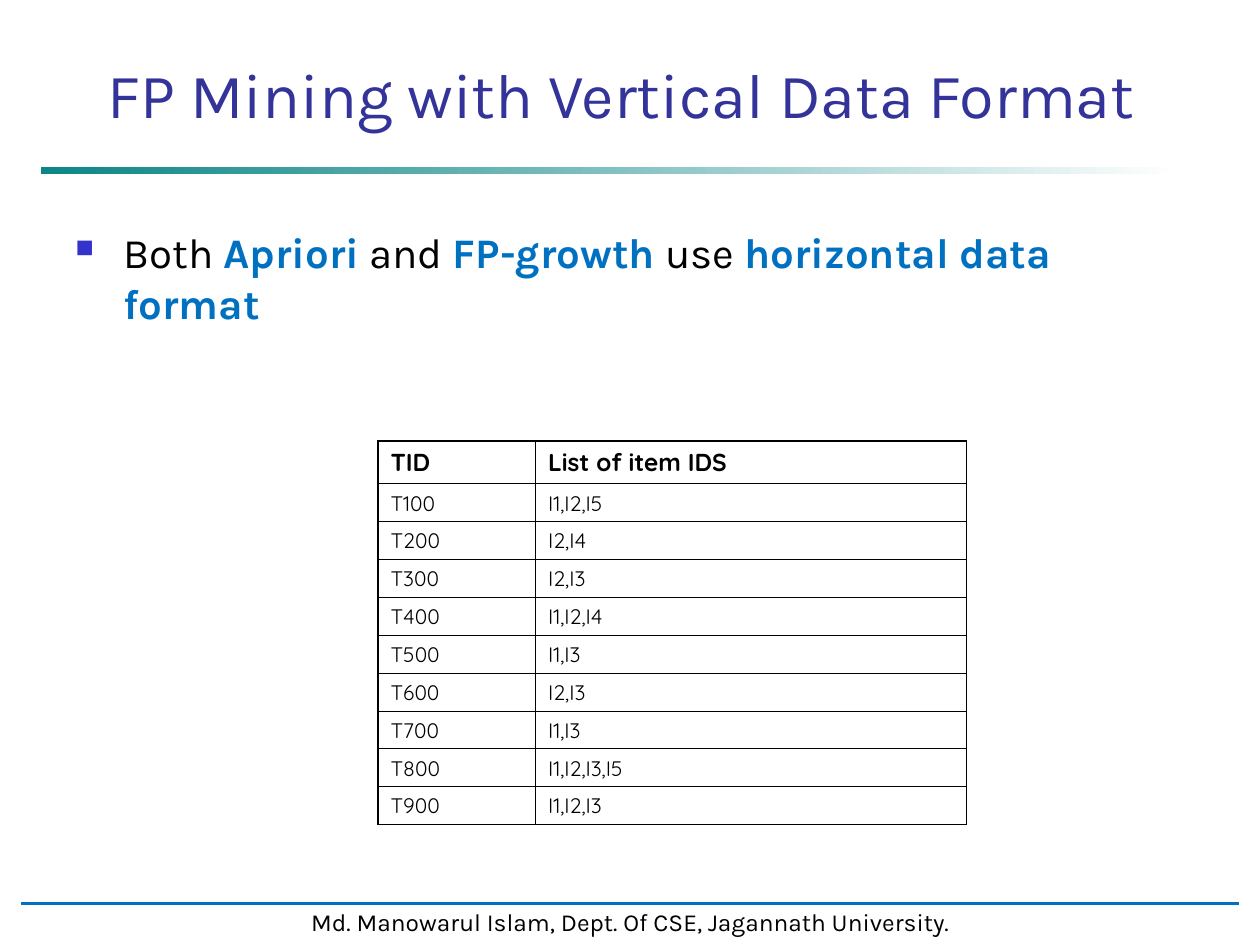
from lxml import etree
from pptx import Presentation
from pptx.dml.color import RGBColor
from pptx.enum.shapes import MSO_CONNECTOR, MSO_SHAPE
from pptx.enum.text import MSO_ANCHOR, PP_ALIGN
from pptx.oxml.ns import qn
from pptx.util import Inches, Pt

RECTANGLE = MSO_SHAPE.RECTANGLE
STRAIGHT = MSO_CONNECTOR.STRAIGHT
BOTTOM = MSO_ANCHOR.BOTTOM
CENTER = PP_ALIGN.CENTER

BODY_FONT, TABLE_FONT = "Karla", "Quicksand"
BLACK, WHITE, BLUE = "000000", "FFFFFF", "0070C0"
TITLE_BLUE, BULLET_BLUE, TEAL = "333399", "3333CC", "008080"
THIN, THICK = 0.45, 1.08

TRANSACTIONS = [
    ("TID", "List of item IDS"),
    ("T100", "I1,I2,I5"),
    ("T200", "I2,I4"),
    ("T300", "I2,I3"),
    ("T400", "I1,I2,I4"),
    ("T500", "I1,I3"),
    ("T600", "I2,I3"),
    ("T700", "I1,I3"),
    ("T800", "I1,I2,I3,I5"),
    ("T900", "I1,I2,I3"),
]


def color(hex_value):
    return RGBColor.from_string(hex_value)


def add_run(para, text, size, font=BODY_FONT, ink=BLACK, bold=False):
    span = para.add_run()
    span.text = text
    span.font.name = font
    span.font.size = Pt(size)
    span.font.bold = bold
    span.font.color.rgb = color(ink)


def add_rectangle(page, left, top, width, height):
    box = page.shapes.add_shape(
        RECTANGLE, Inches(left), Inches(top), Inches(width), Inches(height))
    box.shadow.inherit = False
    return box


def add_text_box(page, left, top, width, height):
    box = page.shapes.add_textbox(
        Inches(left), Inches(top), Inches(width), Inches(height))
    box.text_frame.word_wrap = True
    return box.text_frame


def add_title_rule(page):
    """Draw the bar under the title, fading from teal to white."""
    bar = add_rectangle(page, 0.33, 1.33, 9, 0.05)
    bar.line.fill.background()
    bar.fill.gradient()
    bar.fill.gradient_angle = 0
    for stop, ink, position in zip(bar.fill.gradient_stops, (TEAL, WHITE), (0, 1)):
        stop.color.rgb = color(ink)
        stop.position = position
    first_color = bar._element.spPr.find(".//" + qn("a:srgbClr"))
    etree.SubElement(first_color, qn("a:alpha"), val="95000")


def add_footer(page):
    box = add_rectangle(page, 0.17, 7.15, 9.67, 0.33)
    box.fill.solid()
    box.fill.fore_color.rgb = color(WHITE)
    box.line.color.rgb = color(WHITE)
    box.line.width = Pt(2)
    frame = box.text_frame
    frame.word_wrap = False
    frame.vertical_anchor = MSO_ANCHOR.TOP
    para = frame.paragraphs[0]
    para.alignment = CENTER
    add_run(para, "Md. Manowarul Islam, Dept. Of CSE, Jagannath University.", 14)

    rule = page.shapes.add_connector(
        STRAIGHT, Inches(0.17), Inches(7.17), Inches(9.83), Inches(7.17))
    rule.line.color.rgb = color(BLUE)
    rule.line.width = Pt(1.75)
    etree.SubElement(rule._element.spPr, qn("a:effectLst"))


def add_title(page, text):
    frame = add_text_box(page, 0.67, 0.42, 8.52, 0.67)
    frame.vertical_anchor = BOTTOM
    para = frame.paragraphs[0]
    para.alignment = CENTER
    add_run(para, text, 36, ink=TITLE_BLUE)


def set_square_bullet(para):
    properties = para._p.get_or_add_pPr()
    properties.set("marL", str(Inches(0.38)))
    properties.set("indent", str(-Inches(0.38)))
    bullet_color = etree.SubElement(properties, qn("a:buClr"))
    etree.SubElement(bullet_color, qn("a:srgbClr"), val=BULLET_BLUE)
    etree.SubElement(properties, qn("a:buSzPct"), val="60000")
    etree.SubElement(properties, qn("a:buChar"), char="■")


def add_bullet_text(page, parts):
    """Add one bullet; parts are (text, highlighted) pairs."""
    para = add_text_box(page, 0.5, 1.75, 9, 1).paragraphs[0]
    set_square_bullet(para)
    for text, highlighted in parts:
        add_run(para, text, 24, ink=BLUE if highlighted else BLACK, bold=highlighted)


def set_border(cell, side, width):
    line = etree.SubElement(
        cell._tc.get_or_add_tcPr(), qn("a:" + side), w=str(Pt(width)))
    fill = etree.SubElement(line, qn("a:solidFill"))
    etree.SubElement(fill, qn("a:srgbClr"), val=BLACK)


def add_transaction_table(page, rows):
    """Add a table with a thick outer frame and thin inner lines."""
    last_row, last_column = len(rows) - 1, len(rows[0]) - 1
    table = page.shapes.add_table(
        len(rows), len(rows[0]),
        Inches(3), Inches(3.5), Inches(4.67), Inches(3.04)).table
    table.first_row = table.horz_banding = False
    for column, width in zip(table.columns, (1.25, 3.42)):
        column.width = Inches(width)
    for r, values in enumerate(rows):
        header = r == 0
        table.rows[r].height = Inches(0.34 if header else 0.3)
        for c, value in enumerate(values):
            cell = table.cell(r, c)
            outer_sides = {"lnL": c == 0, "lnR": c == last_column,
                           "lnT": header, "lnB": r == last_row}
            for side, outer in outer_sides.items():
                set_border(cell, side, THICK if outer else THIN)
            cell.fill.background()
            add_run(cell.text_frame.paragraphs[0], value,
                    14 if header else 12, TABLE_FONT, bold=header)


def main():
    deck = Presentation()
    deck.slide_width, deck.slide_height = Inches(10), Inches(7.5)
    page = deck.slides.add_slide(deck.slide_layouts[6])
    add_title_rule(page)
    add_footer(page)
    add_title(page, "FP Mining with Vertical Data Format")
    add_bullet_text(page, [
        ("Both ", False), ("Apriori", True), (" and ", False),
        ("FP-growth", True), (" use ", False), ("horizontal data format", True),
    ])
    add_transaction_table(page, TRANSACTIONS)
    deck.save("out.pptx")


if __name__ == "__main__":
    main()
